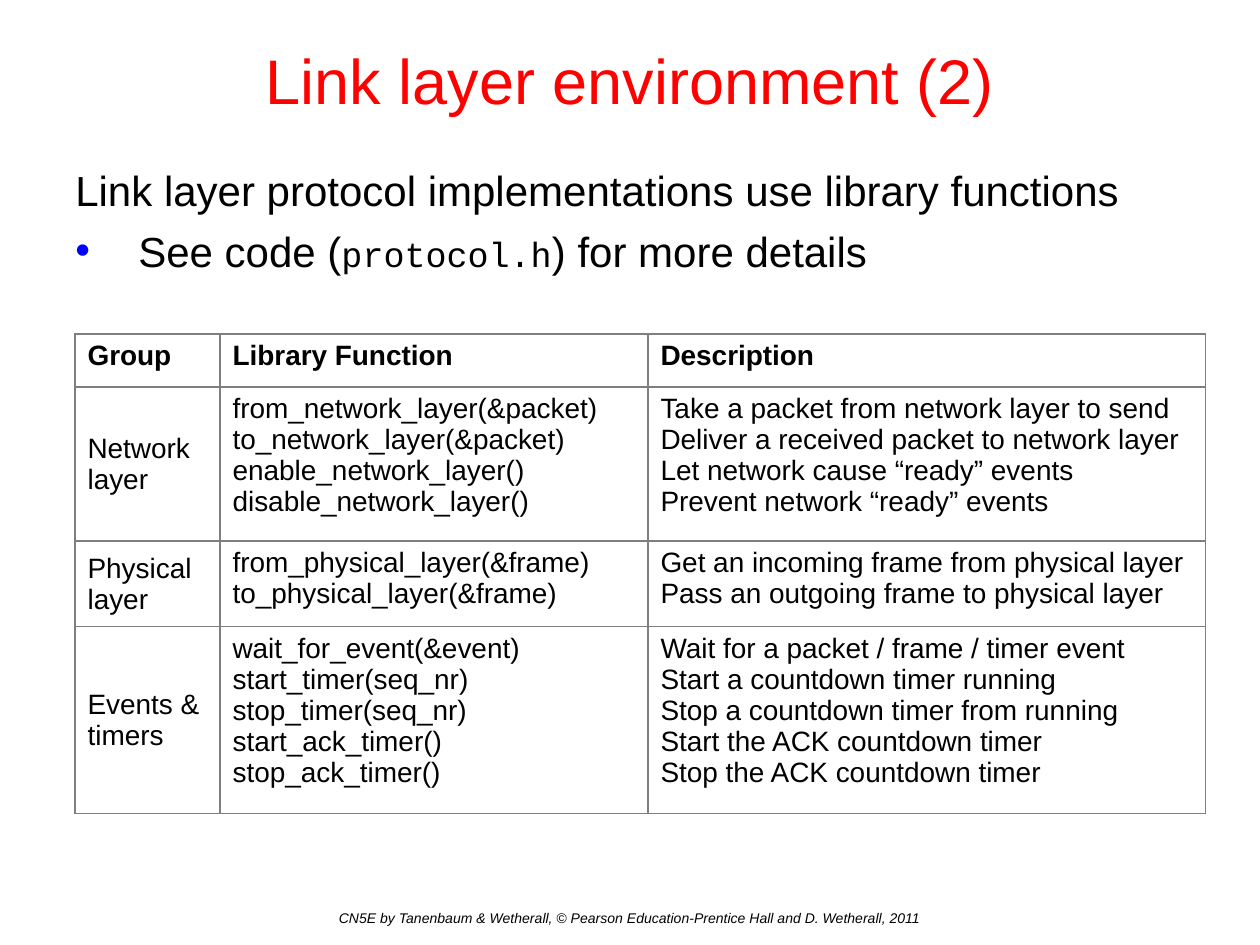
import pptx
import pptx.util
import pptx.dml.color
import pptx.enum.text
import pptx.oxml
import pptx.oxml.ns

SCALE = 914400 / 126
COLORS = {"title": "FF0000", "text": "000000", "bullet": "0000FF", "border": "7F7F7F"}
ALIGN = pptx.enum.text.PP_ALIGN
ANCHOR = pptx.enum.text.MSO_ANCHOR
COLS = [145, 428, 558]
ROWS = [53, 154, 86, 187]
HEADERS = ["Group", "Library Function", "Description"]
GROUPS = [
    ("Network layer", [
        ("from_network_layer(&packet)", "Take a packet from network layer to send"),
        ("to_network_layer(&packet)", "Deliver a received packet to network layer"),
        ("enable_network_layer()", "Let network cause “ready” events"),
        ("disable_network_layer()", "Prevent network “ready” events"),
    ]),
    ("Physical layer", [
        ("from_physical_layer(&frame)", "Get an incoming frame from physical layer"),
        ("to_physical_layer(&frame)", "Pass an outgoing frame to physical layer"),
    ]),
    ("Events & timers", [
        ("wait_for_event(&event)", "Wait for a packet / frame / timer event"),
        ("start_timer(seq_nr)", "Start a countdown timer running"),
        ("stop_timer(seq_nr)", "Stop a countdown timer from running"),
        ("start_ack_timer()", "Start the ACK countdown timer"),
        ("stop_ack_timer()", "Stop the ACK countdown timer"),
    ]),
]


def px(n):
    return pptx.util.Emu(round(n * SCALE))


def add_run(p, text, size, color="text", **fmt):
    r = p.add_run()
    r.text = text
    for key, value in {"name": "Arial", "size": pptx.util.Pt(size), **fmt}.items():
        setattr(r.font, key, value)
    r.font.color.rgb = pptx.dml.color.RGBColor.from_string(COLORS[color])


def add_box(s, x, y, w, h, anchor=ANCHOR.TOP):
    tf = s.shapes.add_textbox(px(x), px(y), px(w), px(h)).text_frame
    tf.word_wrap = True
    tf.vertical_anchor = anchor
    return tf


def add_line(s, box, text, size, anchor=ANCHOR.TOP, **fmt):
    p = add_box(s, *box, anchor).paragraphs[0]
    p.alignment = ALIGN.CENTER
    add_run(p, text, size, **fmt)


def add_bullet(p, indent):
    pPr = p._p.get_or_add_pPr()
    pPr.set("marL", str(px(indent)))
    pPr.set("indent", str(-px(indent)))
    ns = pptx.oxml.ns.nsdecls("a")
    for xml in (f'<a:buClr {ns}><a:srgbClr val="{COLORS["bullet"]}"/></a:buClr>',
                f'<a:buFont {ns} typeface="Arial"/>',
                f'<a:buChar {ns} char="•"/>'):
        pPr.append(pptx.oxml.parse_xml(xml))


def add_body(s, x, y, w, h):
    tf = add_box(s, x, y, w, h)
    add_run(tf.paragraphs[0], "Link layer protocol implementations use library functions", 24)
    p = tf.add_paragraph()
    add_bullet(p, 63)
    p.space_before = pptx.util.Pt(6)
    add_run(p, "See code (", 24)
    add_run(p, "protocol.h", 20, name="Courier New")
    add_run(p, ") for more details", 24)


def add_borders(cell):
    tcPr = cell._tc.get_or_add_tcPr()
    for i, side in enumerate("LRTB"):
        tcPr.insert(i, pptx.oxml.parse_xml(
            f'<a:ln{side} {pptx.oxml.ns.nsdecls("a")} w="{pptx.util.Pt(0.75)}"><a:solidFill>'
            f'<a:srgbClr val="{COLORS["border"]}"/></a:solidFill></a:ln{side}>'))


def fill_cell(cell, lines, bold, anchor):
    cell.fill.background()
    cell.vertical_anchor = anchor
    add_borders(cell)
    tf = cell.text_frame
    for i, text in enumerate(lines):
        p = tf.add_paragraph() if i else tf.paragraphs[0]
        add_run(p, text, 16, bold=bold)


def add_functions(s, x, y):
    table = s.shapes.add_table(len(ROWS), len(COLS), px(x), px(y),
                               px(sum(COLS)), px(sum(ROWS))).table
    table.first_row = table.horz_banding = False
    for col, w in zip(table.columns, COLS):
        col.width = px(w)
    for row, h in zip(table.rows, ROWS):
        row.height = px(h)
    rows = [[[text] for text in HEADERS]]
    rows += [[[name], *zip(*entries)] for name, entries in GROUPS]
    for i, row in enumerate(rows):
        for j, lines in enumerate(row):
            anchor = ANCHOR.MIDDLE if i and not j else ANCHOR.TOP
            fill_cell(table.cell(i, j), lines, i == 0, anchor)


def main():
    prs = pptx.Presentation()
    prs.slide_width, prs.slide_height = px(1260), px(945)
    s = prs.slides.add_slide(prs.slide_layouts[6])
    add_line(s, (0, 0, 1260, 158), "Link layer environment (2)", 36, ANCHOR.MIDDLE, color="title")
    add_body(s, 63, 158, 1134, 670)
    add_functions(s, 75, 334)
    add_line(s, (0, 903, 1260, 42),
             "CN5E by Tanenbaum & Wetherall, © Pearson Education-Prentice Hall and D. Wetherall, 2011",
             8, italic=True)
    prs.save("out.pptx")


if __name__ == "__main__":
    main()
